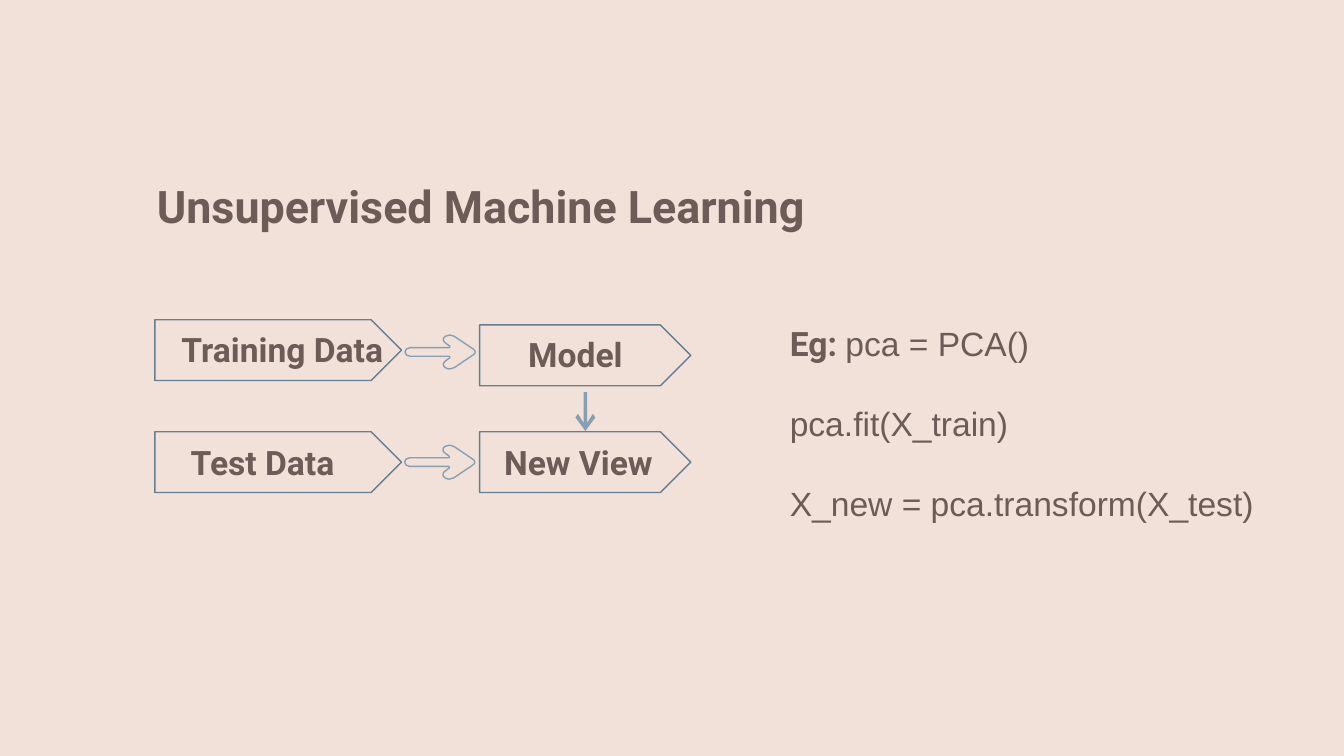
from dataclasses import dataclass

from lxml.etree import SubElement
from pptx import Presentation
from pptx.dml.color import RGBColor
from pptx.enum.shapes import MSO_SHAPE
from pptx.enum.text import MSO_ANCHOR, PP_ALIGN
from pptx.oxml.ns import qn
from pptx.util import Pt


@dataclass(frozen=True)
class Theme:
    background: str = "F2E1D8"
    text: str = "6D5B57"
    plate_line: str = "667E92"
    arrow: str = "869FB2"
    heading_font: str = "Roboto"
    code_font: str = "Arial"
    title_size: float = 24
    body_size: float = 18
    line_width: float = 0.75


THEME = Theme()
TITLE = "Unsupervised Machine Learning"
TITLE_BOX = (77, 88.6, 607, 45.4)

# Label, plate (left, top, width), label box (left, top)
PLATE_HEIGHT = 32.6
LABEL_SIZE = (149, 25.2)
STEPS = [
    ("Training Data", (83, 171.3, 132.1), (76.8, 174.4)),
    ("Test Data", (83, 231.3, 132.1), (66.2, 234.9)),
    ("Model", (257, 174.1, 113.1), (233.8, 177.1)),
    ("New View", (257, 231.3, 113.1), (235.4, 234.9)),
]

# Each line is a list of (text, is heading font)
EXAMPLE = [
    [("Eg: ", True), ("pca = PCA()", False)],
    [("pca.fit(X_train)", False)],
    [("X_new = pca.transform(X_test)", False)],
]
EXAMPLE_BOX = (416, 165.6, 301.7, 139)
EXAMPLE_GAP = 21.5

# Half outlines from tail to tip as (along, across) the axis:
# two points make a line, four make a Bézier curve
ROUND_ARROW_HALF = [
    [(0, 0), (0, -1.3), (1.2, -2.3), (2.7, -2.3)],
    [(2.7, -2.3), (23.6, -2.3)],
    [(23.6, -2.3), (24.1, -2.3), (24.3, -2.9), (23.9, -3.2)],
    [(23.9, -3.2), (21.6, -4.9)],
    [(21.6, -4.9), (20.2, -5.9), (20.2, -7.4), (21.6, -8.4)],
    [(21.6, -8.4), (22.3, -8.9), (23.2, -9.1), (24, -9.1)],
    [(24, -9.1), (24.9, -9.1), (25.7, -8.8), (26.4, -8.4)],
    [(26.4, -8.4), (36.5, -1.6)],
    [(36.5, -1.6), (37.2, -1.2), (37.6, -0.6), (37.6, 0)],
]
ROUND_ARROW_STARTS = [(217, 188.6), (216.8, 247.6)]
DOWN_ARROW_HALF = [
    [(0, -0.9), (16.6, -0.9)],
    [(16.6, -0.9), (11.6, -4)],
    [(11.6, -4), (13.6, -5.3)],
    [(13.6, -5.3), (20.8, 0)],
]
DOWN_ARROW_START = (303.2, 220.5)


def color(value):
    return RGBColor.from_string(value)


def add_arrow(slide, half, start):
    """Mirror a half outline about its axis and draw the closed arrow."""
    mirrored = [[(along, -across) for along, across in reversed(segment)]
                for segment in reversed(half)]
    segments = [[(Pt(start[0] + x), Pt(start[1] + y)) for x, y in segment]
                for segment in half + mirrored]
    builder = slide.shapes.build_freeform(*segments[0][0])
    builder.add_line_segments([segment[-1] for segment in segments], close=True)
    arrow = builder.convert_to_shape()
    arrow.shadow.inherit = False

    lines = list(arrow._element.iter(qn("a:lnTo")))
    for line, segment in zip(lines, segments):
        if len(segment) == 4:
            line.tag = qn("a:cubicBezTo")
            line.remove(line[0])
            for x, y in segment[1:]:
                SubElement(line, qn("a:pt"), x=str(x - arrow.left),
                           y=str(y - arrow.top))
    return arrow


def outline_only(shape, line_color):
    shape.shadow.inherit = False
    shape.fill.background()
    shape.line.color.rgb = color(line_color)
    shape.line.width = Pt(THEME.line_width)


def add_text(slide, box, lines, size, anchor=MSO_ANCHOR.TOP,
             align=PP_ALIGN.LEFT, gap=0):
    frame = slide.shapes.add_textbox(*map(Pt, box)).text_frame
    settings = {"word_wrap": True, "vertical_anchor": anchor}
    settings.update({f"margin_{side}": Pt(7.2)
                     for side in ("left", "top", "right", "bottom")})
    for name, value in settings.items():
        setattr(frame, name, value)
    for index, line in enumerate(lines):
        paragraph = frame.add_paragraph() if index else frame.paragraphs[0]
        paragraph.alignment = align
        if index:
            paragraph.space_before = Pt(gap)
        for text, heading in line:
            run = paragraph.add_run()
            run.text = text
            font_values = {
                "name": THEME.heading_font if heading else THEME.code_font,
                "size": Pt(size),
                "bold": heading,
            }
            for name, value in font_values.items():
                setattr(run.font, name, value)
            run.font.color.rgb = color(THEME.text)


def main():
    presentation = Presentation()
    presentation.slide_width, presentation.slide_height = Pt(720), Pt(405)
    slide = presentation.slides.add_slide(presentation.slide_layouts[6])
    slide.background.fill.solid()
    slide.background.fill.fore_color.rgb = color(THEME.background)

    for _, plate_box, _ in STEPS:
        plate = slide.shapes.add_shape(
            MSO_SHAPE.PENTAGON, *map(Pt, (*plate_box, PLATE_HEIGHT)))
        outline_only(plate, THEME.plate_line)

    for start in ROUND_ARROW_STARTS:
        outline_only(add_arrow(slide, ROUND_ARROW_HALF, start), THEME.arrow)

    down_arrow = add_arrow(slide, DOWN_ARROW_HALF, DOWN_ARROW_START)
    down_arrow.rotation = 90
    down_arrow.fill.solid()
    down_arrow.fill.fore_color.rgb = color(THEME.arrow)
    down_arrow.line.fill.background()

    for label, _, label_corner in STEPS:
        add_text(slide, (*label_corner, *LABEL_SIZE), [[(label, True)]],
                 THEME.body_size, MSO_ANCHOR.MIDDLE, PP_ALIGN.CENTER)
    add_text(slide, TITLE_BOX, [[(TITLE, True)]], THEME.title_size)
    add_text(slide, EXAMPLE_BOX, EXAMPLE, THEME.body_size, gap=EXAMPLE_GAP)

    presentation.save("out.pptx")


if __name__ == "__main__":
    main()
